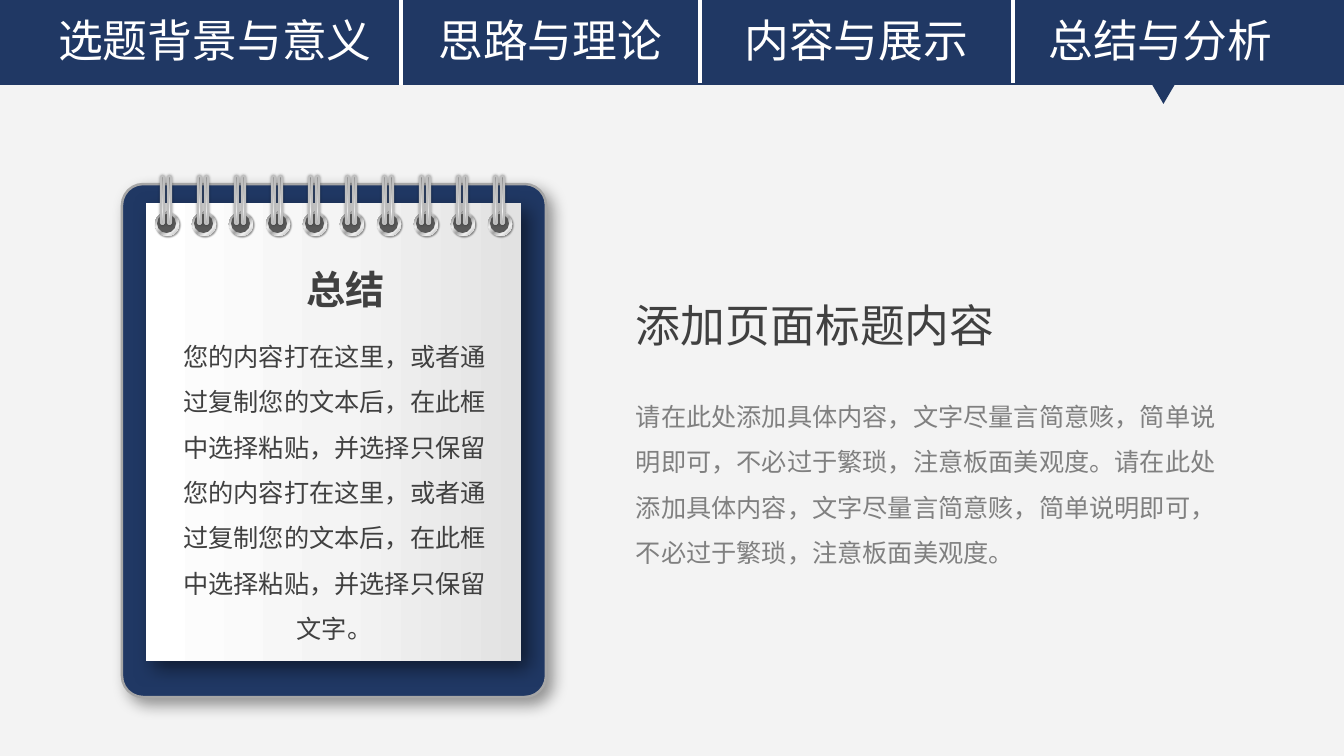
from lxml import etree
from pptx import Presentation
from pptx.dml.color import RGBColor
from pptx.enum.shapes import MSO_CONNECTOR, MSO_SHAPE
from pptx.enum.text import MSO_AUTO_SIZE, PP_ALIGN
from pptx.oxml.ns import qn
from pptx.util import Emu, Pt

RECT, ROUND = MSO_SHAPE.RECTANGLE, MSO_SHAPE.ROUNDED_RECTANGLE
OVAL, TRIANGLE = MSO_SHAPE.OVAL, MSO_SHAPE.ISOSCELES_TRIANGLE
STRAIGHT = MSO_CONNECTOR.STRAIGHT
LEFT, CENTER = PP_ALIGN.LEFT, PP_ALIGN.CENTER
GROW, FIXED = MSO_AUTO_SIZE.SHAPE_TO_FIT_TEXT, MSO_AUTO_SIZE.NONE

# Content
FONT = "Noto Sans CJK SC"
TABS = [  # label, left, width
    ("选题背景与意义", 27, 376),
    ("思路与理论", 418, 265),
    ("内容与展示", 724, 265),
    ("总结与分析", 1028, 265),
]
DIVIDERS = [(401, 0), (700, -2), (1013, -2)]  # x, top
NOTE_TITLE = "总结"
NOTE_SENTENCE = "您的内容打在这里，或者通过复制您的文本后，在此框中选择粘贴，并选择只保留"
NOTE_BODY = NOTE_SENTENCE * 2 + "文字。"
PAGE_TITLE = "添加页面标题内容"
PAGE_BODY = "请在此处添加具体内容，文字尽量言简意赅，简单说明即可，不必过于繁琐，注意板面美观度。" * 2

COLORS = {
    "page": "F3F3F3", "navy": "203864", "white": "FFFFFF", "edge": "A6A6A6",
    "hole": "595959", "wire": "BFBFBF", "dark": "404040", "grey": "808080",
    "shadow": "000000",
}
PAPER = [(0, "FFFFFF"), (52, "F4F4F4"), (100, "E2E2E2")]
EYELET = [(0, "FFFFFF"), (17, "A6A6A6"), (35, "F2F2F2"),
          (55, "A6A6A6"), (75, "F2F2F2"), (100, "A6A6A6")]
WIRE = [(0, "808080"), (23, "A6A6A6"), (52, "D9D9D9"), (74, "FFFFFF"), (100, "A6A6A6")]

# Layout in px
SCALE = 914400 / 100.8
PAGE_WIDTH, PAGE_HEIGHT = 1344, 756
BAR_HEIGHT = 85
RING_COUNT, RING_LEFT, RING_PITCH = 10, 155, 37


def px(length):
    return Emu(round(length * SCALE))


def rgb(name):
    return RGBColor.from_string(COLORS[name])


def add_gradient(shape, stops, angle):
    props = shape._element.spPr
    gradient = etree.Element(qn("a:gradFill"), rotWithShape="1")
    stop_list = etree.SubElement(gradient, qn("a:gsLst"))
    for position, color in stops:
        stop = etree.SubElement(stop_list, qn("a:gs"), pos=str(position * 1000))
        etree.SubElement(stop, qn("a:srgbClr"), val=color)
    etree.SubElement(gradient, qn("a:lin"), ang=str(angle * 60000), scaled="0")
    props.find(qn("a:prstGeom")).addnext(gradient)


def add_shadow(shape, alpha, blur, distance, angle):
    effects = shape._element.spPr.find(qn("a:effectLst"))
    shadow = etree.SubElement(
        effects, qn("a:outerShdw"), blurRad=str(Pt(blur)), dist=str(Pt(distance)),
        dir=str(angle * 60000), algn="ctr", rotWithShape="0")
    color = etree.SubElement(shadow, qn("a:srgbClr"), val=COLORS["shadow"])
    etree.SubElement(color, qn("a:alpha"), val=str(alpha * 1000))


def add_block(page, kind, box, fill, line=None, shadow=None, angle=0, corner=None):
    """Fill is a colour name or a list of gradient stops."""
    shape = page.shapes.add_shape(kind, *map(px, box))
    if corner is not None:
        shape.adjustments[0] = corner
    if line:
        shape.line.color.rgb = rgb(line[0])
        shape.line.width = Pt(line[1])
    else:
        shape.line.fill.background()
    if isinstance(fill, str):
        shape.fill.solid()
        shape.fill.fore_color.rgb = rgb(fill)
    else:
        add_gradient(shape, fill, angle)
    shape.shadow.inherit = False
    if shadow:
        add_shadow(shape, *shadow)
    return shape


def add_text(page, text, box, size, color, align=LEFT, spacing=None, bold=False,
             margins=(10, 5), wrap=True, fit=GROW):
    frame = page.shapes.add_textbox(*map(px, box)).text_frame
    frame.word_wrap = wrap
    frame.auto_size = fit
    frame.margin_left = frame.margin_right = px(margins[0])
    frame.margin_top = frame.margin_bottom = px(margins[1])
    frame.text = text
    para = frame.paragraphs[0]
    para.alignment = align
    if spacing:
        para.line_spacing = spacing
    span = para.runs[0]
    span.font.size = Pt(size)
    span.font.bold = bold
    span.font.color.rgb = rgb(color)
    span.font.name = FONT
    etree.SubElement(span.font._element, qn("a:ea"), typeface=FONT)


def add_navigation(page):
    add_block(page, RECT, (0, 0, PAGE_WIDTH, BAR_HEIGHT), "navy")
    for label, left, width in TABS:
        add_text(page, label, (left, 8, width, 64), 32, "white", CENTER)
    for x, top in DIVIDERS:
        divider = page.shapes.add_connector(
            STRAIGHT, px(x), px(top), px(x), px(top + BAR_HEIGHT))
        divider.line.color.rgb = rgb("white")
        divider.line.width = Pt(2.25)
        etree.SubElement(divider._element.spPr, qn("a:effectLst"))
    pointer = add_block(page, TRIANGLE, (1150, 81, 27, 23), "navy")
    pointer._element.spPr.find(qn("a:xfrm")).set("flipV", "1")


def add_notepad(page):
    add_block(page, ROUND, (122, 184, 424, 513), "navy", ("edge", 1.75),
              (40, 11, 6, 45), corner=0.05)
    add_block(page, ROUND, (146, 203, 375, 458), PAPER, None, (50, 14, 7, 45), corner=0)
    ring_lefts = [RING_LEFT + i * RING_PITCH for i in range(RING_COUNT)]
    for left in ring_lefts:
        add_block(page, OVAL, (left, 212, 24, 24), EYELET, None, (40, 1, 1, 45), 45)
        add_block(page, OVAL, (left + 2, 214, 19, 19), "hole")
    for left in ring_lefts:
        for offset in (6, 13):
            add_block(page, ROUND, (left + offset, 176, 3, 48), WIRE, ("wire", 1.5),
                      (40, 2, 0, 0), 90, 0.5)
    add_text(page, NOTE_BODY, (174, 326, 321, 316), 18, "dark", CENTER, 1.5,
             margins=(0, 0))
    add_text(page, NOTE_TITLE, (227, 265, 238, 40), 28, "dark", CENTER, bold=True,
             margins=(13, 0), fit=FIXED)


def main():
    deck = Presentation()
    deck.slide_width, deck.slide_height = px(PAGE_WIDTH), px(PAGE_HEIGHT)
    page = deck.slides.add_slide(deck.slide_layouts[6])
    page.background.fill.solid()
    page.background.fill.fore_color.rgb = rgb("page")
    add_navigation(page)
    add_notepad(page)
    # Page text
    add_text(page, PAGE_TITLE, (626, 293, 382, 64), 32, "dark", wrap=False)
    add_text(page, PAGE_BODY, (626, 381, 624, 189), 18, "grey", spacing=1.5)
    deck.save("out.pptx")


if __name__ == "__main__":
    main()
